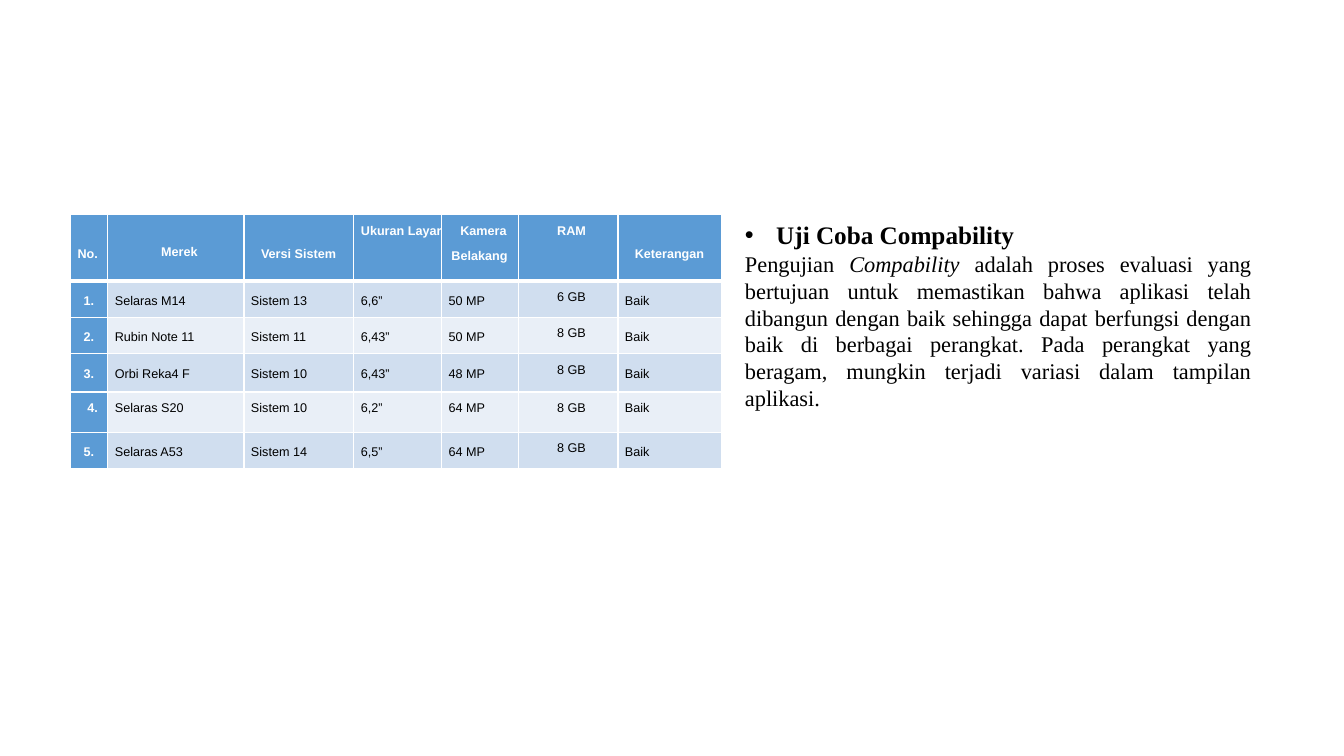
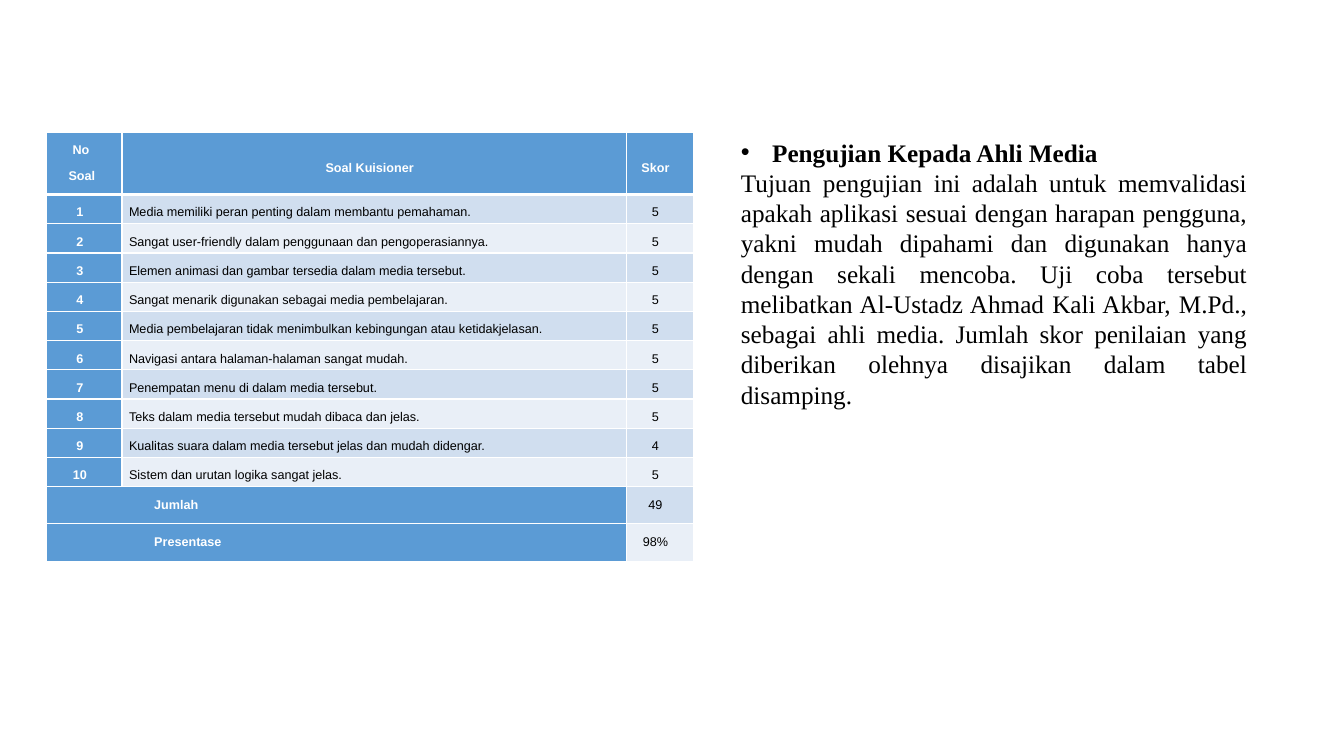
from dataclasses import dataclass

from lxml import etree
from pptx import Presentation
from pptx.dml.color import RGBColor
from pptx.enum.text import MSO_ANCHOR, PP_ALIGN
from pptx.oxml.ns import qn
from pptx.util import Inches, Pt

LEFT, CENTER, JUSTIFY = PP_ALIGN.LEFT, PP_ALIGN.CENTER, PP_ALIGN.JUSTIFY
TOP, MIDDLE = MSO_ANCHOR.TOP, MSO_ANCHOR.MIDDLE


@dataclass(frozen=True)
class Theme:
    """Colours, fonts and type sizes shared by the slides."""

    ink: str = "000000"
    paper: str = "FFFFFF"
    accent: str = "5B9BD5"
    bands: tuple = ("D0DEEF", "E9EFF7")
    text_font: str = "Times New Roman"
    table_font: str = "Arial"
    heading: int = 18
    cell: int = 9
    cell_space: int = 11
    leading: float = 1.5
    rule: int = 1
    head_rule: int = 3


T = Theme()

DEVICE_HEADS = [
    ("No. ", LEFT, MIDDLE), ("Merek", CENTER, MIDDLE), ("Versi Sistem ", CENTER, MIDDLE),
    ("Ukuran Layar ", CENTER, TOP), ("Kamera Belakang ", CENTER, TOP),
    ("RAM", CENTER, TOP), ("Keterangan ", CENTER, MIDDLE),
]
DEVICES = [
    ("1. ", "Selaras M14 ", "Sistem 13 ", "6,6” ", "50 MP ", "6 GB", "Baik "),
    ("2. ", "Rubin Note 11 ", "Sistem 11 ", "6,43” ", "50 MP ", "8 GB", "Baik "),
    ("3. ", "Orbi Reka4 F ", "Sistem 10 ", "6,43” ", "48 MP ", "8 GB", "Baik "),
    ("4.", "Selaras S20", "Sistem 10", "6,2”", "64 MP", "8 GB", "Baik"),
    ("5. ", "Selaras A53 ", "Sistem 14 ", "6,5” ", "64 MP ", "8 GB", "Baik "),
]
COMPATIBILITY = [
    ("Pengujian ", False),
    ("Compability ", True),
    ("adalah proses evaluasi yang bertujuan untuk memastikan bahwa aplikasi telah "
     "dibangun dengan baik sehingga dapat berfungsi dengan baik di berbagai perangkat. "
     "Pada perangkat yang beragam, mungkin terjadi variasi dalam tampilan aplikasi.", False),
]

SCORE_HEADS = [
    ("No |Soal ", LEFT, TOP), ("Soal Kuisioner ", CENTER, MIDDLE), ("Skor ", CENTER, MIDDLE),
]
QUESTIONS = [
    ("Media memiliki peran penting dalam membantu pemahaman.", 5),
    ("Sangat user-friendly dalam penggunaan dan pengoperasiannya.", 5),
    ("Elemen animasi dan gambar tersedia dalam media tersebut.", 5),
    ("Sangat menarik digunakan sebagai media pembelajaran.", 5),
    ("Media pembelajaran tidak menimbulkan kebingungan atau ketidakjelasan.", 5),
    ("Navigasi antara halaman-halaman sangat mudah.", 5),
    ("Penempatan menu di dalam media tersebut.", 5),
    ("Teks dalam media tersebut mudah dibaca dan jelas.", 5),
    ("Kualitas suara dalam media tersebut jelas dan mudah didengar.", 4),
    ("Sistem dan urutan logika sangat jelas.", 5),
]
MEDIA_EXPERT = [
    ("Tujuan pengujian ini adalah untuk memvalidasi apakah aplikasi sesuai dengan harapan "
     "pengguna, yakni mudah dipahami dan digunakan hanya dengan sekali mencoba. Uji coba "
     "tersebut melibatkan Al-Ustadz Ahmad Kali Akbar, M.Pd., sebagai ahli media. Jumlah skor "
     "penilaian yang diberikan olehnya disajikan dalam tabel disamping.", False),
]


def set_all(obj, **values):
    """Set each named attribute of an object."""
    for name, value in values.items():
        setattr(obj, name, value)


def add_run(p, text, size, font, color, **style):
    """Append a formatted run to a paragraph."""
    r = p.add_run()
    r.text = text
    set_all(r.font, size=Pt(size), name=font, **style)
    r.font.color.rgb = RGBColor.from_string(color)


def set_indent(p, left, first=0):
    """Set the left margin and first-line indent of a paragraph in inches."""
    pPr = p._p.get_or_add_pPr()
    pPr.set("marL", str(Inches(left)))
    pPr.set("indent", str(Inches(first)))
    return pPr


def add_bullet(p):
    """Give a paragraph a hanging round bullet."""
    pPr = set_indent(p, 0.31, -0.31)
    etree.SubElement(pPr, qn("a:buFont")).set("typeface", "Arial")
    etree.SubElement(pPr, qn("a:buChar")).set("char", "•")


def add_explanation(s, box, heading, body, size):
    """Add a bulleted heading above a justified paragraph."""
    tf = s.shapes.add_textbox(*map(Inches, box)).text_frame
    tf.word_wrap = True
    p = tf.paragraphs[0]
    add_bullet(p)
    add_run(p, heading, T.heading, T.text_font, T.ink, bold=True)
    p = tf.add_paragraph()
    p.alignment = JUSTIFY
    for text, italic in body:
        add_run(p, text, size, T.text_font, T.ink, italic=italic)


def set_borders(cell, top, bottom):
    """Draw the four cell borders with the given top and bottom widths."""
    tcPr = cell._tc.get_or_add_tcPr()
    for side, width in zip("LRTB", (T.rule, T.rule, top, bottom)):
        ln = etree.SubElement(tcPr, qn(f"a:ln{side}"), w=str(Pt(width)))
        fill = etree.SubElement(ln, qn("a:solidFill"))
        etree.SubElement(fill, qn("a:srgbClr")).set("val", T.paper)


def fill_cell(cell, text, fill, align, anchor, insets, strong):
    """Write one cell; a closing space is followed by a larger one."""
    names = ("margin_left", "margin_top", "margin_right", "margin_bottom")
    set_all(cell, vertical_anchor=anchor, **dict(zip(names, map(Inches, insets))))
    cell.fill.solid()
    cell.fill.fore_color.rgb = RGBColor.from_string(fill)
    p = cell.text_frame.paragraphs[0]
    set_all(p, alignment=align, line_spacing=T.leading)
    style = (T.table_font, T.paper if strong else T.ink)
    for part in text.split("|"):
        add_run(p, part, T.cell, *style, bold=strong)
        if part.endswith(" "):
            add_run(p, " ", T.cell_space, *style, bold=strong)
    return p


def add_grid(s, left, top, cols, heights, heads, body, aligns, insets):
    """Add a banded table; a None entry merges into the cell on its left."""
    box = map(Inches, (left, top, sum(cols), sum(heights)))
    table = s.shapes.add_table(len(heights), len(cols), *box).table
    for col, width in zip(table.columns, cols):
        col.width = Inches(width)
    for row, height in zip(table.rows, heights):
        row.height = Inches(height)
    rows = [heads] + [[(text, align, TOP) for text, align in zip(line, aligns)] for line in body]
    for i, row in enumerate(rows):
        for j, (text, align, anchor) in enumerate(row):
            cell = table.cell(i, j)
            set_borders(cell, T.head_rule if i == 1 else T.rule, T.head_rule if i == 0 else T.rule)
            if text is None:
                table.cell(i, j - 1).merge(cell)
                continue
            strong = i == 0 or j == 0
            fill = T.accent if strong else T.bands[(i - 1) % 2]
            fill_cell(cell, text, fill, align, anchor, insets, strong)
    return table


def add_device_slide(prs):
    """Build the compatibility test slide."""
    s = prs.slides.add_slide(prs.slide_layouts[6])
    add_explanation(s, (7.29, 2.13, 5.22, 2.02), "Uji Coba Compability", COMPATIBILITY, 16)
    add_grid(s, 0.7, 2.13, [0.37, 1.35, 1.09, 0.87, 0.76, 0.99, 1.03],
             [0.66, 0.36, 0.36, 0.38, 0.4, 0.36], DEVICE_HEADS, DEVICES,
             [CENTER] + [LEFT] * 4 + [CENTER, LEFT], (0.07, 0.02, 0, 0))


def add_score_slide(prs):
    """Build the media expert questionnaire slide."""
    s = prs.slides.add_slide(prs.slide_layouts[6])
    add_explanation(s, (7.25, 1.31, 5.22, 2.83), "Pengujian Kepada Ahli Media",
                    MEDIA_EXPERT, T.heading)
    scores = [score for _, score in QUESTIONS]
    total, best = sum(scores), 5 * len(scores)
    body = [(f"{n} ", f"{text} ", f"{score} ") for n, (text, score) in enumerate(QUESTIONS, 1)]
    body += [("Jumlah ", None, f"{total} "), ("Presentase ", None, f"{total / best:.0%} ")]
    table = add_grid(s, 0.46, 1.31, [0.75, 5, 0.67],
                     [0.62] + [0.29] * len(scores) + [0.37] * 2, SCORE_HEADS, body,
                     [CENTER, LEFT, CENTER], (0.07, 0, 0.08, 0))
    set_indent(table.cell(0, 0).text_frame.paragraphs[0], 0.15, 0.04)
    for i in (len(body) - 1, len(body)):
        p = table.cell(i, 0).text_frame.paragraphs[0]
        p.alignment = LEFT
        set_indent(p, 1)


def main():
    """Create and save the presentation."""
    prs = Presentation()
    set_all(prs, slide_width=Inches(13.33), slide_height=Inches(7.5))
    add_device_slide(prs)
    add_score_slide(prs)
    prs.save("out.pptx")


if __name__ == "__main__":
    main()
